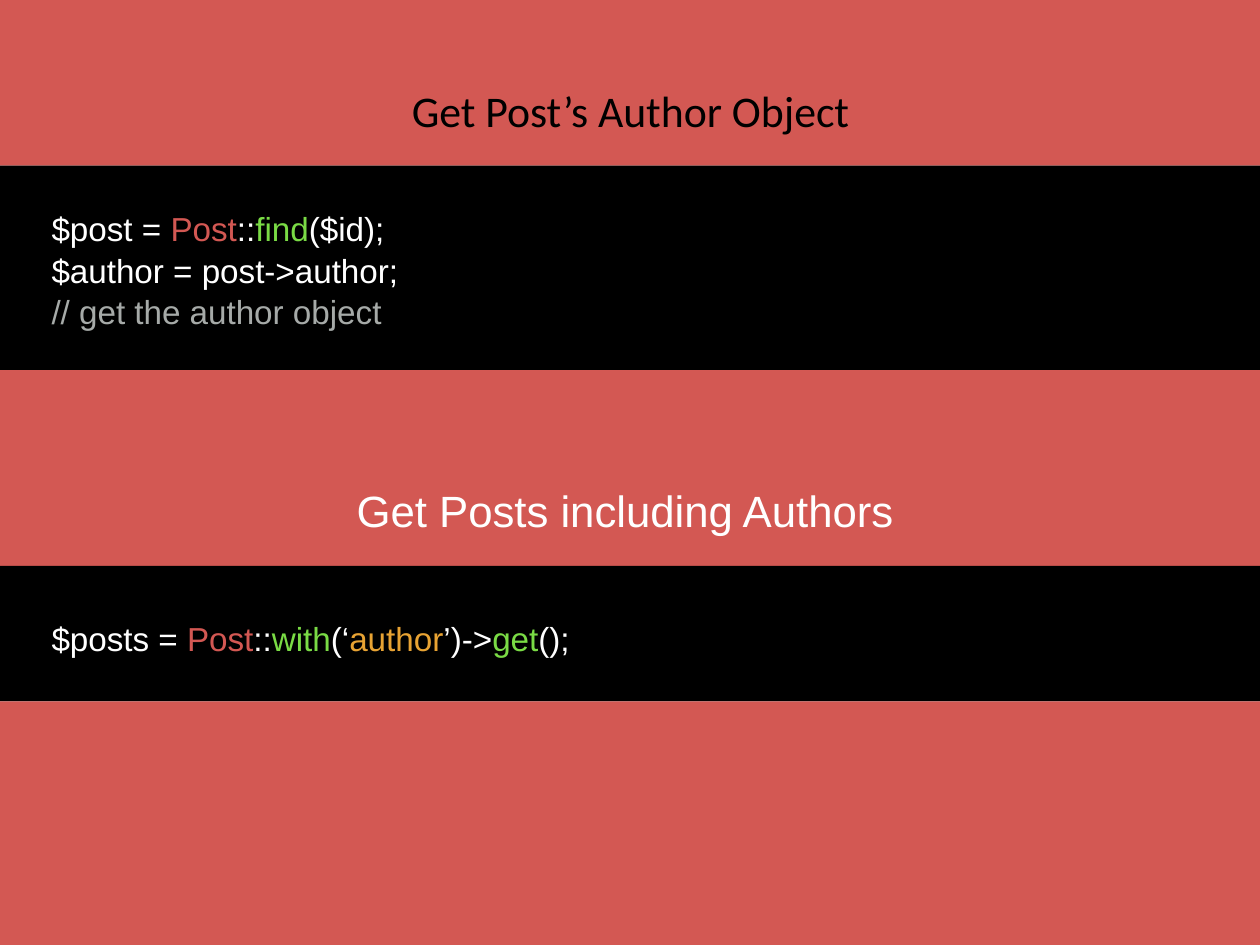
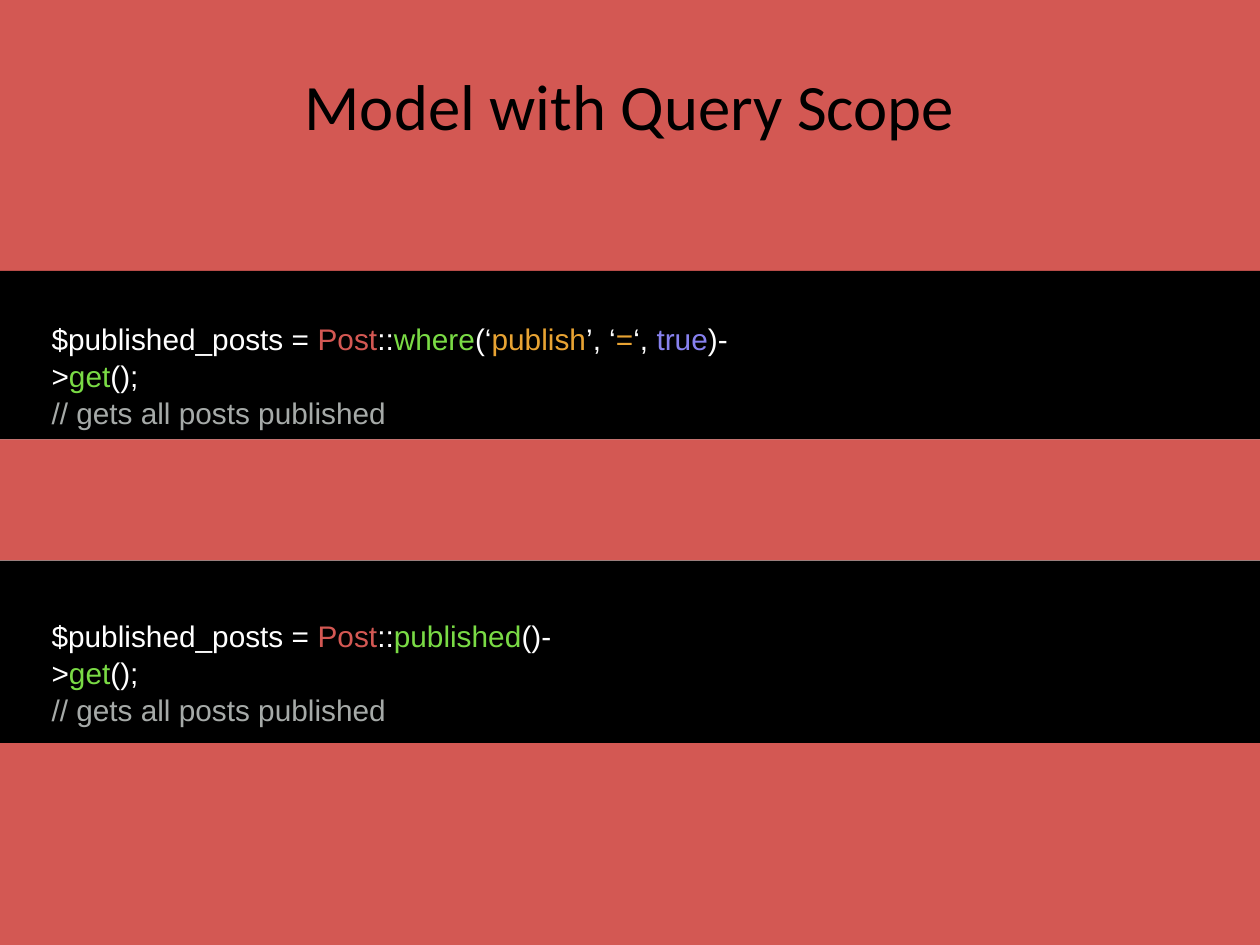
from pptx import Presentation
from pptx.dml.color import RGBColor
from pptx.enum import shapes, text
from pptx.util import Cm, Pt

CORAL = RGBColor(0xD3, 0x58, 0x53)
BLACK = RGBColor(0x00, 0x00, 0x00)
WHITE = RGBColor(0xFF, 0xFF, 0xFF)
GREEN = RGBColor(0x7A, 0xDB, 0x45)
ORANGE = RGBColor(0xE8, 0xA3, 0x33)
VIOLET = RGBColor(0x87, 0x81, 0xEF)
GREY = RGBColor(0xA6, 0xAA, 0xA8)

WIDTH, HEIGHT = Cm(25.4), Cm(19.05)
CODE_LEFT = Cm(1.04)
TITLE_FONT, CODE_FONT = "Calibri", "Arial"

# A code line is a list of (words, colour) tokens.
MODEL = [("Post", CORAL), ("::", WHITE)]
GET = [("get", GREEN), ("();", WHITE)]
PUBLISHED_POSTS = [("$published_posts = ", WHITE)] + MODEL
PUBLISHED_NOTE = [("// gets all posts published", GREY)]

FIND_AUTHOR = [
    [("$post = ", WHITE)] + MODEL + [("find", GREEN), ("($id);", WHITE)],
    [("$author = post->author;", WHITE)],
    [("// get the author object", GREY)],
]
POSTS_WITH_AUTHORS = [
    [("$posts = ", WHITE)] + MODEL
    + [("with", GREEN), ("(‘", WHITE), ("author", ORANGE), ("’)->", WHITE)] + GET,
]
WHERE_PUBLISHED = [
    PUBLISHED_POSTS
    + [("where", GREEN), ("(‘", WHITE), ("publish", ORANGE), ("’, ‘", WHITE),
       ("=", ORANGE), ("‘, ", WHITE), ("true", VIOLET), (")->", WHITE)] + GET,
    PUBLISHED_NOTE,
]
PUBLISHED_SCOPE = [
    PUBLISHED_POSTS + [("published", GREEN), ("()->", WHITE)] + GET,
    PUBLISHED_NOTE,
]

# Edges are where coral and black bands meet, from the top down.
# Boxes are (left, top, width, height) in centimetres; code has (top, width, height).
SLIDES = [
    {
        "title": "Get Post’s Author Object", "title_size": 25,
        "title_box": (7.77, 1.65, 9.88, 1.09),
        "edges": (3.34, 7.46, 11.41, 14.14),
        "code_size": 19,
        "code": [
            {"box": (4.14, 7.06, 2.46), "lines": FIND_AUTHOR},
            {"box": (9.73, 17.2, 3.56), "lines": POSTS_WITH_AUTHORS,
             "heading": "Get Posts including Authors"},
        ],
    },
    {
        "title": "Model with Query Scope", "title_size": 37,
        "title_box": (5.64, 1.3, 14.1, 1.6),
        "edges": (5.46, 8.86, 11.3, 14.98),
        "code_size": 17,
        "code": [
            {"box": (6.4, 15.3, 2.21), "lines": WHERE_PUBLISHED},
            {"box": (12.4, 11.75, 2.21), "lines": PUBLISHED_SCOPE},
        ],
    },
]


def add_bands(slide, edges):
    """Fill the slide with full-width bands, coral and black in turn."""
    stops = [0, *map(Cm, edges), HEIGHT]
    for i, (top, bottom) in enumerate(zip(stops, stops[1:])):
        band = slide.shapes.add_shape(
            shapes.MSO_SHAPE.RECTANGLE, 0, top, WIDTH, bottom - top)
        band.shadow.inherit = False
        band.fill.solid()
        band.fill.fore_color.rgb = BLACK if i % 2 else CORAL
        band.line.fill.background()


def prepare_frame(frame, anchor):
    """Give a text frame the margins and wrapping used throughout."""
    frame.margin_left = frame.margin_right = frame.margin_bottom = 0
    frame.margin_top = Cm(0.03)
    frame.word_wrap = True
    frame.auto_size = text.MSO_AUTO_SIZE.NONE
    frame.vertical_anchor = anchor


def write(paragraph, tokens, *, font, size, align=text.PP_ALIGN.LEFT,
          before=0, spacing=1.0, indent=0):
    """Write coloured tokens into a paragraph with the given format."""
    paragraph.alignment = align
    paragraph.space_before = Pt(before)
    paragraph.line_spacing = spacing
    if indent:
        paragraph._p.get_or_add_pPr().set("marL", str(Cm(indent)))
    for words, colour in tokens:
        run = paragraph.add_run()
        run.text = words
        run.font.name = font
        run.font.size = Pt(size)
        run.font.color.rgb = colour


def add_title(slide, words, size, box):
    """Place the title placeholder in front of the bands."""
    title = slide.shapes.title
    title.left, title.top, title.width, title.height = map(Cm, box)
    prepare_frame(title.text_frame, text.MSO_ANCHOR.MIDDLE)
    write(title.text_frame.paragraphs[0], [(words, BLACK)], font=TITLE_FONT,
          size=size, align=text.PP_ALIGN.CENTER)
    title._element.getparent().append(title._element)


def add_code(slide, size, box, lines, heading=None):
    """Add a code listing, with an indented heading above it if there is one."""
    listing = slide.shapes.add_textbox(CODE_LEFT, *map(Cm, box))
    frame = listing.text_frame
    prepare_frame(frame, text.MSO_ANCHOR.TOP)
    paragraph = frame.paragraphs[0]
    if heading:
        write(paragraph, [(heading, WHITE)], font=CODE_FONT, size=25, indent=6.15)
        paragraph = frame.add_paragraph()
    for i, line in enumerate(lines):
        if i:
            paragraph = frame.add_paragraph()
        write(paragraph, line, font=CODE_FONT, size=size, spacing=1.04,
              before=46 if heading and i == 0 else 0)


deck = Presentation()
deck.slide_width, deck.slide_height = WIDTH, HEIGHT
title_only = deck.slide_layouts[5]
for content in SLIDES:
    slide = deck.slides.add_slide(title_only)
    add_bands(slide, content["edges"])
    add_title(slide, content["title"], content["title_size"], content["title_box"])
    for listing in content["code"]:
        add_code(slide, content["code_size"], **listing)
deck.save("out.pptx")
